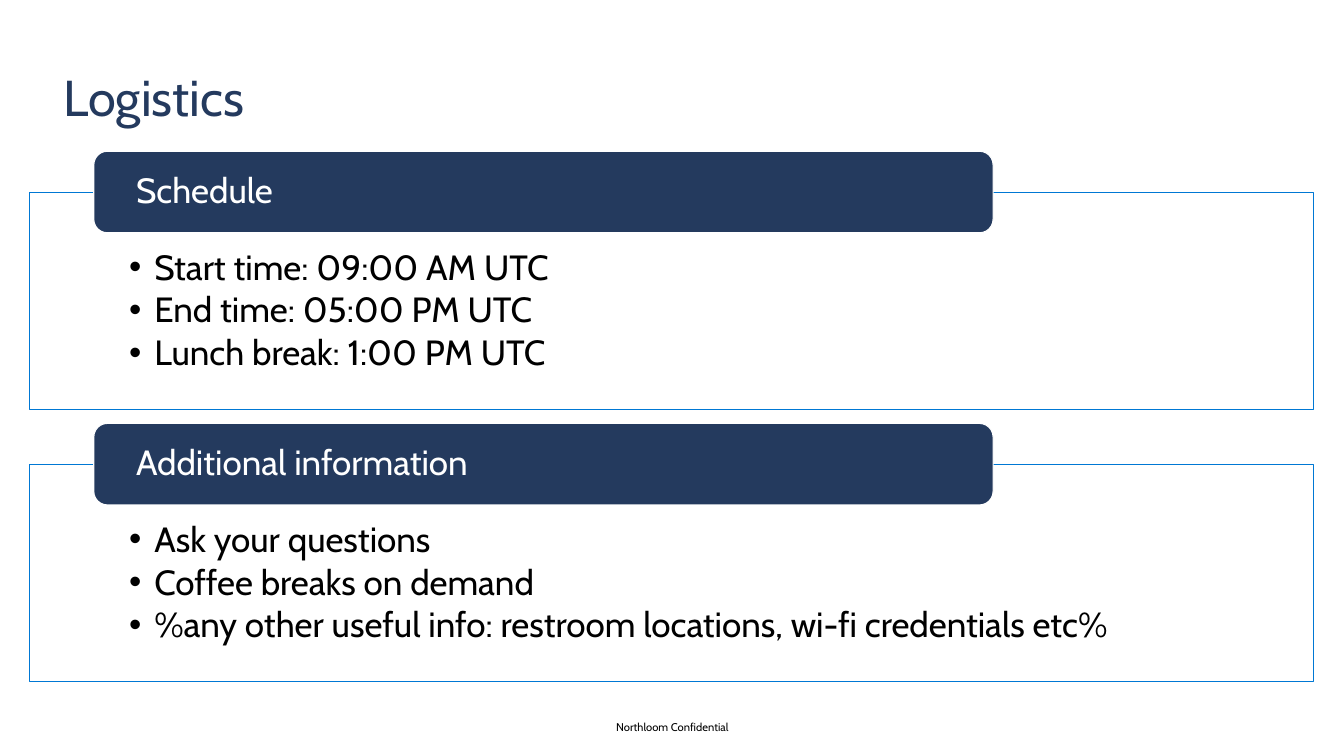
from dataclasses import dataclass

from lxml.etree import SubElement
from pptx import Presentation
from pptx.dml.color import RGBColor
from pptx.enum.shapes import MSO_SHAPE
from pptx.enum.text import MSO_ANCHOR, MSO_AUTO_SIZE, PP_ALIGN
from pptx.oxml.ns import qn
from pptx.util import Inches, Pt


@dataclass(frozen=True)
class Theme:
    font: str = "Cabin"
    navy: RGBColor = RGBColor(0x24, 0x3A, 0x5E)
    blue: RGBColor = RGBColor(0x00, 0x78, 0xD4)
    white: RGBColor = RGBColor(0xFF, 0xFF, 0xFF)
    black: RGBColor = RGBColor(0x00, 0x00, 0x00)
    title_size: Pt = Pt(36)
    body_size: Pt = Pt(25)
    footer_size: Pt = Pt(8)
    line_width: Pt = Pt(0.85)


THEME = Theme()
SECTION_TOP = 1.5
SECTION_PITCH = 2.7
FRAME_OFFSET = 0.41

SECTIONS = [
    ("Schedule", [
        "Start time: 09:00 AM UTC",
        "End time: 05:00 PM UTC",
        "Lunch break: 1:00 PM UTC",
    ]),
    ("Additional information", [
        "Ask your questions",
        "Coffee breaks on demand",
        "%any other useful info: restroom locations, wi-fi credentials etc%",
    ]),
]


def place(shape, left, top, width, height):
    shape.left, shape.top = Inches(left), Inches(top)
    shape.width, shape.height = Inches(width), Inches(height)


def set_frame(text_frame, anchor, left=0, top=0, right=0, bottom=0):
    """Set wrapping, anchor and insets (in inches)."""
    text_frame.word_wrap = True
    text_frame.auto_size = MSO_AUTO_SIZE.NONE
    text_frame.vertical_anchor = anchor
    text_frame.margin_left, text_frame.margin_right = Inches(left), Inches(right)
    text_frame.margin_top, text_frame.margin_bottom = Inches(top), Inches(bottom)


def format_paragraph(paragraph, size, color, align=PP_ALIGN.LEFT, spacing=1.0):
    paragraph.alignment = align
    paragraph.line_spacing = spacing
    paragraph.space_before = Pt(0)
    for run in paragraph.runs:
        run.font.name = THEME.font
        run.font.size = size
        run.font.color.rgb = color


def paint(shape, fill, line):
    shape.fill.solid()
    shape.fill.fore_color.rgb = fill
    shape.line.color.rgb = line
    shape.line.width = THEME.line_width


def set_opacity(shape, percent):
    color = shape._element.spPr.find(qn("a:solidFill"))[0]
    SubElement(color, qn("a:alpha"), val=str(percent * 1000))


def add_bullet(paragraph):
    properties = paragraph._p.get_or_add_pPr()
    properties.set("marL", str(Inches(0.25)))
    properties.set("indent", str(-Inches(0.25)))
    SubElement(properties, qn("a:buChar"), char="•")


def fill_title(title, text):
    place(title, 0.63, 0.66, 12.05, 0.61)
    title.text_frame.text = text
    set_frame(title.text_frame, MSO_ANCHOR.TOP)
    format_paragraph(title.text_frame.paragraphs[0], THEME.title_size, THEME.navy)


def fill_list(body, top, items):
    place(body, 0.29, top, 12.74, 2.15)
    paint(body, THEME.white, THEME.blue)
    set_opacity(body, 90)
    body.text_frame.text = "\n".join(items)
    set_frame(body.text_frame, MSO_ANCHOR.TOP, 0.99, 0.57, 0.99, 0.19)
    for paragraph in body.text_frame.paragraphs:
        add_bullet(paragraph)
        format_paragraph(paragraph, THEME.body_size, THEME.black, spacing=0.9)
        paragraph.space_after = Pt(3.5)


def add_banner(slide, top, text):
    banner = slide.shapes.add_shape(
        MSO_SHAPE.ROUNDED_RECTANGLE,
        Inches(0.93), Inches(top), Inches(8.92), Inches(0.81))
    banner.shadow.inherit = False
    paint(banner, THEME.navy, THEME.white)
    banner.text_frame.text = text
    set_frame(banner.text_frame, MSO_ANCHOR.MIDDLE, left=0.38, right=0.38)
    format_paragraph(banner.text_frame.paragraphs[0],
                     THEME.body_size, THEME.white, spacing=0.9)


def add_footer(slide, text):
    footer = slide.shapes.add_textbox(
        Inches(4.42), Inches(7.15), Inches(4.5), Inches(0.13))
    footer.text_frame.text = text
    set_frame(footer.text_frame, MSO_ANCHOR.TOP)
    format_paragraph(footer.text_frame.paragraphs[0], THEME.footer_size,
                     THEME.black, PP_ALIGN.CENTER)


def main():
    presentation = Presentation()
    presentation.slide_width = Inches(13.33)
    presentation.slide_height = Inches(7.5)
    two_content = presentation.slide_layouts.get_by_name("Two Content")
    slide = presentation.slides.add_slide(two_content)
    title, *bodies = slide.placeholders

    fill_title(title, "Logistics")
    for index, (body, (heading, items)) in enumerate(zip(bodies, SECTIONS)):
        top = SECTION_TOP + index * SECTION_PITCH
        fill_list(body, top + FRAME_OFFSET, items)
        add_banner(slide, top, heading)
    add_footer(slide, "Northloom Confidential")

    presentation.save("out.pptx")


if __name__ == "__main__":
    main()
